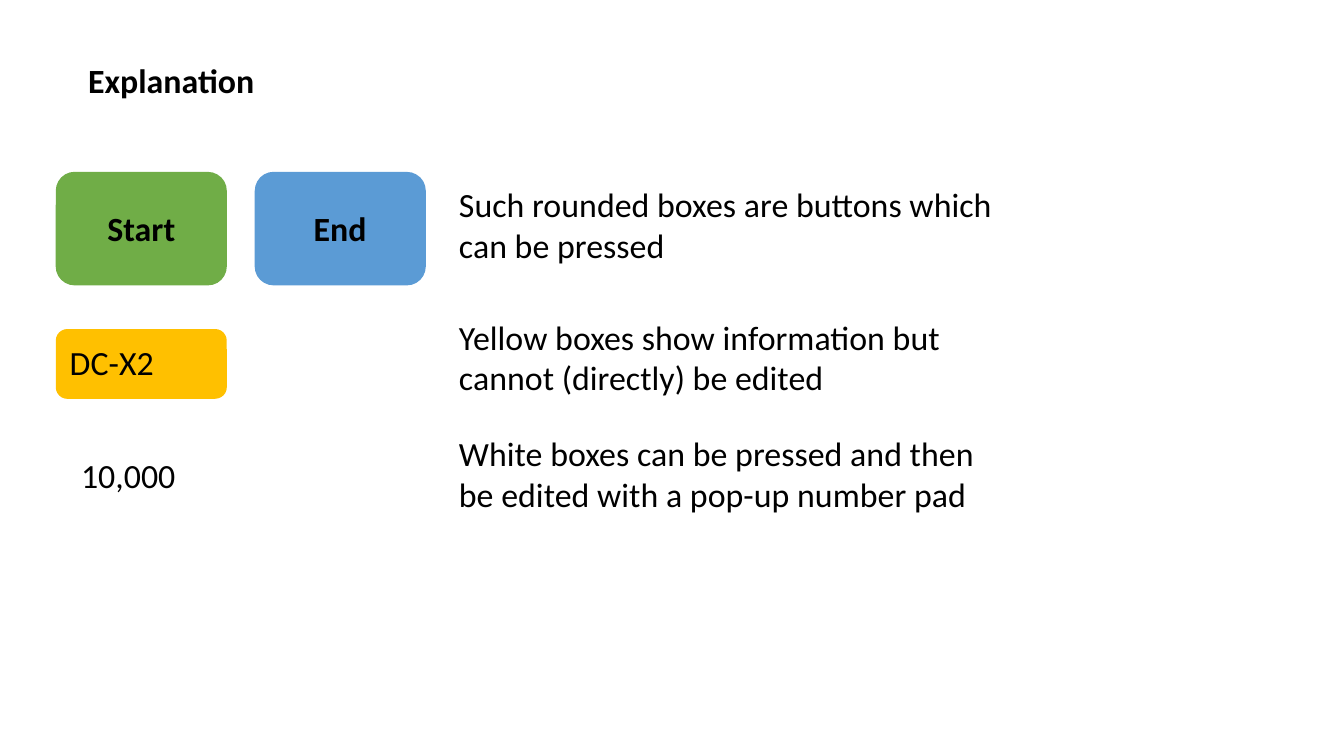
"""Build a slide that explains the kinds of boxes on a screen."""
from pptx import Presentation
from pptx.dml.color import RGBColor
from pptx.enum.shapes import MSO_SHAPE
from pptx.enum.text import MSO_AUTO_SIZE, PP_ALIGN
from pptx.util import Pt

ROUNDED = MSO_SHAPE.ROUNDED_RECTANGLE
GROW = MSO_AUTO_SIZE.SHAPE_TO_FIT_TEXT
LEFT, CENTER = PP_ALIGN.LEFT, PP_ALIGN.CENTER
PX = 3600
ONE_LINE, TWO_LINES = 74, 119
COLORS = {"text": "000000", "green": "70AD47", "blue": "5B9BD5",
          "yellow": "FFC000", "white": "FFFFFF"}


def px(*lengths):
    return [n * PX for n in lengths]


def add_text(text, left, top, width, height, bold=False, align=LEFT):
    tf = slide.shapes.add_textbox(*px(left, top, width, height)).text_frame
    tf.word_wrap = True
    tf.auto_size = GROW
    p = tf.paragraphs[0]
    p.alignment = align
    r = p.add_run()
    r.text = text
    for name, value in {"name": "Calibri", "size": Pt(11), "bold": bold}.items():
        setattr(r.font, name, value)
    r.font.color.rgb = RGBColor.from_string(COLORS["text"])


prs = Presentation()
prs.slide_width, prs.slide_height = px(1540, 850)
slide = prs.slides.add_slide(prs.slide_layouts[6])

add_text("Explanation", 76, 56, 333, ONE_LINE, bold=True)

boxes = [
    ("Start", "green", 64, 197, 130, 13, 28, 170, True, CENTER),
    ("End", "blue", 292, 197, 130, 13, 28, 170, True, CENTER),
    ("DC-X2", "yellow", 64, 377, 80, -9, 2, 165, False, LEFT),
    ("10,000", "white", 64, 508, 80, 4, 0, 168, False, LEFT),
]
for text, color, left, top, height, dx, dy, width, bold, align in boxes:
    s = slide.shapes.add_shape(ROUNDED, *px(left, top, 196, height))
    s.shadow.inherit = False
    s.fill.solid()
    s.fill.fore_color.rgb = RGBColor.from_string(COLORS[color])
    s.line.fill.background()
    add_text(text, left + dx, top + dy, width, ONE_LINE, bold, align)

notes = [
    (198, "Such rounded boxes are buttons which can be pressed"),
    (350, "Yellow boxes show information but cannot (directly) be edited"),
    (483, "White boxes can be pressed and then be edited with a pop-up number pad"),
]
for top, text in notes:
    add_text(text, 501, top, 673, TWO_LINES)

prs.save("out.pptx")
